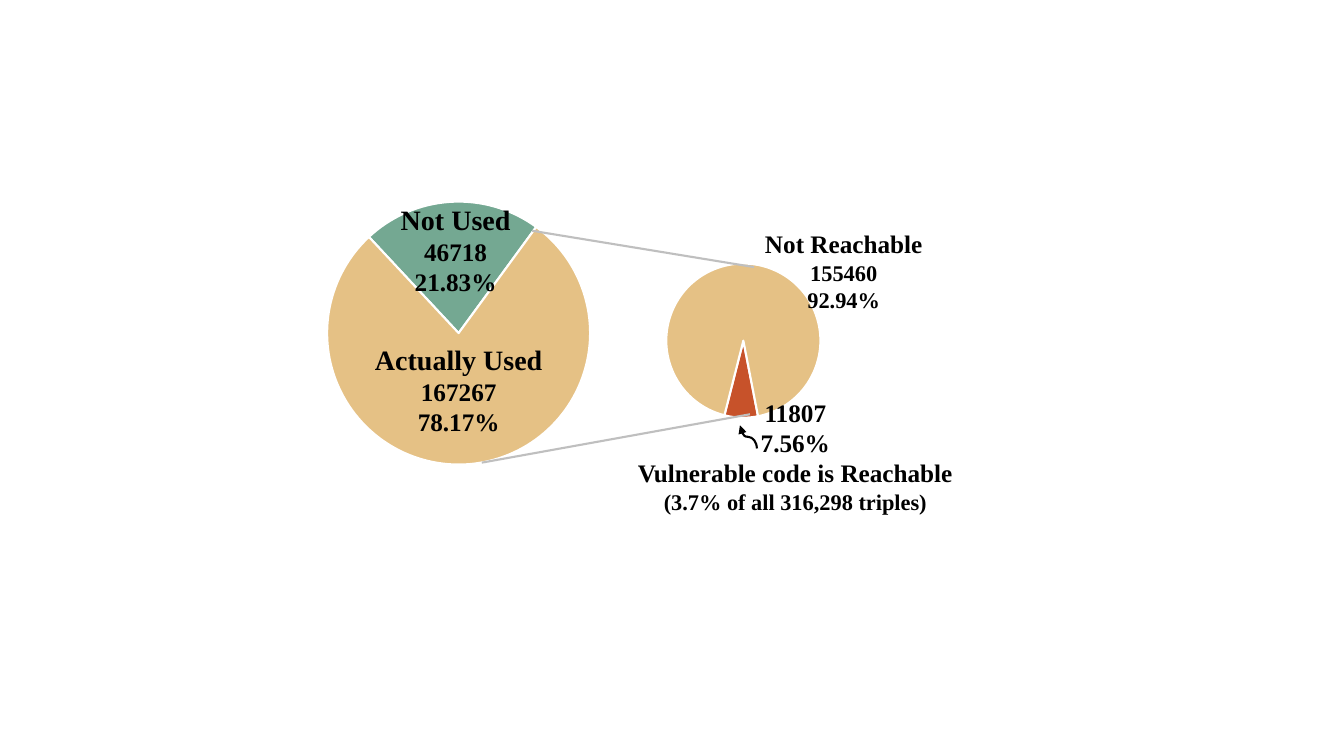
import dataclasses

import lxml.etree
import pptx
import pptx.chart.data
import pptx.dml.color
import pptx.enum.chart
import pptx.enum.shapes
import pptx.enum.text
import pptx.oxml
import pptx.oxml.ns
import pptx.shapes.connector
import pptx.slide
import pptx.util

SLIDE_WIDTH = pptx.util.Inches(13.333)
SLIDE_HEIGHT = pptx.util.Inches(7.5)
TEXT_FONT = "Times New Roman"
CHART_FONT = "Noto Sans CJK SC"
BLACK, WHITE, GREY = "000000", "FFFFFF", "BFBFBF"
GREEN, SAND, RUST = "74A892", "E5C185", "C7522A"


@dataclasses.dataclass(frozen=True)
class Box:
    """Place and size in percent of the slide's width and height."""

    left: float
    top: float
    width: float
    height: float

    def lengths(self) -> tuple[int, int, int, int]:
        """Return left, top, width and height as slide lengths."""
        return across(self.left), down(self.top), across(self.width), down(self.height)


@dataclasses.dataclass(frozen=True)
class Pie:
    """A two-slice pie; its diameter is in inches."""

    box: Box
    diameter: float
    first_angle: int
    values: tuple[int, int]
    colours: tuple[str, str]


@dataclasses.dataclass(frozen=True)
class Label:
    """Centred lines of bold text, each with its size in points."""

    box: Box
    lines: tuple[tuple[str, int], ...]


@dataclasses.dataclass(frozen=True)
class Line:
    """A connector between two points in percent of the slide."""

    start: tuple[float, float]
    end: tuple[float, float]
    colour: str
    kind: pptx.enum.shapes.MSO_CONNECTOR = pptx.enum.shapes.MSO_CONNECTOR.STRAIGHT


PIES = (
    Pie(Box(22.8, 24.67, 22.65, 38.8), 2.61, 317, (22, 78), (GREEN, SAND)),
    Pie(Box(48.15, 32.93, 14.33, 24.27), 1.53, 169, (7, 93), (RUST, SAND)),
)
ZOOM_LINES = (
    Line((39.6, 30.53), (56.1, 35.33), GREY),
    Line((35.85, 61.2), (55.8, 54.8), GREY),
)
LABELS = (
    Label(Box(29.03, 26.13, 9.75, 13.87),
          (("Not Used", 20), ("46718", 18), ("21.83%", 18))),
    Label(Box(27.08, 44.67, 14.1, 13.87),
          (("Actually Used", 20), ("167267", 18), ("78.17%", 18))),
    Label(Box(46.58, 51.87, 25.2, 17.07),
          (("11807", 18), ("7.56%", 18), ("Vulnerable code is Reachable", 18),
           ("(3.7% of all 316,298 triples)", 16))),
    Label(Box(56.1, 29.6, 13.35, 12.53),
          (("Not Reachable", 18), ("155460", 16), ("92.94%", 16))),
)
POINTER = Line((54.83, 58.93), (56.55, 56.67), BLACK, pptx.enum.shapes.MSO_CONNECTOR.CURVE)


def across(percent: float) -> int:
    """Return a share of the slide's width."""
    return round(SLIDE_WIDTH * percent / 100)


def down(percent: float) -> int:
    """Return a share of the slide's height."""
    return round(SLIDE_HEIGHT * percent / 100)


def colour_of(value: str) -> pptx.dml.color.RGBColor:
    """Turn a hex string into a colour."""
    return pptx.dml.color.RGBColor.from_string(value)


def add_pie(slide: pptx.slide.Slide, pie: Pie) -> None:
    """Draw a pie chart centred in its box."""
    data = pptx.chart.data.CategoryChartData()
    data.categories = ["1", "2", "3", "4"]
    data.add_series("Series 1", (*pie.values, None, None))
    lengths = pie.box.lengths()
    chart = slide.shapes.add_chart(pptx.enum.chart.XL_CHART_TYPE.PIE, *lengths, data).chart
    chart.has_legend = False
    chart.has_title = False
    chart.font.name = CHART_FONT
    chart.font.size = pptx.util.Pt(10)
    chart.font.color.rgb = colour_of(BLACK)
    plot = chart.plots[0]
    plot.vary_by_categories = True
    for index, colour in enumerate(pie.colours):
        slice_format = plot.series[0].points[index].format
        slice_format.fill.solid()
        slice_format.fill.fore_color.rgb = colour_of(colour)
        slice_format.line.color.rgb = colour_of(WHITE)
        slice_format.line.width = pptx.util.Pt(1.5)

    qualified = pptx.oxml.ns.qn
    pie_element = chart.element.find(".//" + qualified("c:pieChart"))
    angle = pie_element.find(qualified("c:firstSliceAng"))
    if angle is None:
        angle = lxml.etree.SubElement(pie_element, qualified("c:firstSliceAng"))
    angle.set("val", str(pie.first_angle))
    plot_area = pie_element.getparent()
    for layout in plot_area.findall(qualified("c:layout")):
        plot_area.remove(layout)
    layout = lxml.etree.Element(qualified("c:layout"))
    manual = lxml.etree.SubElement(layout, qualified("c:manualLayout"))
    width, height = (pptx.util.Inches(pie.diameter) / length for length in lengths[2:])
    settings = {
        "layoutTarget": "inner", "xMode": "edge", "yMode": "edge",
        "x": (1 - width) / 2, "y": (1 - height) / 2, "w": width, "h": height,
    }
    for name, value in settings.items():
        lxml.etree.SubElement(manual, qualified("c:" + name)).set("val", str(value))
    plot_area.insert(0, layout)


def add_line(slide: pptx.slide.Slide, line: Line) -> pptx.shapes.connector.Connector:
    """Draw a connector without a shadow."""
    connector = slide.shapes.add_connector(
        line.kind, across(line.start[0]), down(line.start[1]),
        across(line.end[0]), down(line.end[1]),
    )
    connector.line.color.rgb = colour_of(line.colour)
    connector.line.width = pptx.util.Pt(1.5)
    properties = connector.element.find(pptx.oxml.ns.qn("p:spPr"))
    lxml.etree.SubElement(properties, pptx.oxml.ns.qn("a:effectLst"))
    return connector


def add_pointer(slide: pptx.slide.Slide, line: Line) -> None:
    """Draw the curved arrow, turned a quarter to the left."""
    connector = add_line(slide, line)
    connector.element.find(".//" + pptx.oxml.ns.qn("a:xfrm")).set("rot", str(270 * 60000))
    outline = connector.element.find(".//" + pptx.oxml.ns.qn("a:ln"))
    lxml.etree.SubElement(outline, pptx.oxml.ns.qn("a:tailEnd")).set("type", "triangle")


def add_label(slide: pptx.slide.Slide, label: Label) -> None:
    """Write the centred lines of a label."""
    frame = slide.shapes.add_textbox(*label.box.lengths()).text_frame
    frame.word_wrap = False
    frame.auto_size = pptx.enum.text.MSO_AUTO_SIZE.SHAPE_TO_FIT_TEXT
    frame.text = "\n".join(text for text, _ in label.lines)
    for paragraph, (_, size) in zip(frame.paragraphs, label.lines):
        paragraph.alignment = pptx.enum.text.PP_ALIGN.CENTER
        paragraph.font.name = TEXT_FONT
        paragraph.font.size = pptx.util.Pt(size)
        paragraph.font.bold = True
        paragraph.font.color.rgb = colour_of(BLACK)


def main() -> None:
    """Build the slide and save it."""
    presentation = pptx.Presentation()
    presentation.slide_width = SLIDE_WIDTH
    presentation.slide_height = SLIDE_HEIGHT
    slide = presentation.slides.add_slide(presentation.slide_layouts[6])
    for pie in PIES:
        add_pie(slide, pie)
    for line in ZOOM_LINES:
        add_line(slide, line)
    for label in LABELS:
        add_label(slide, label)
    add_pointer(slide, POINTER)
    presentation.save("out.pptx")


if __name__ == "__main__":
    main()
